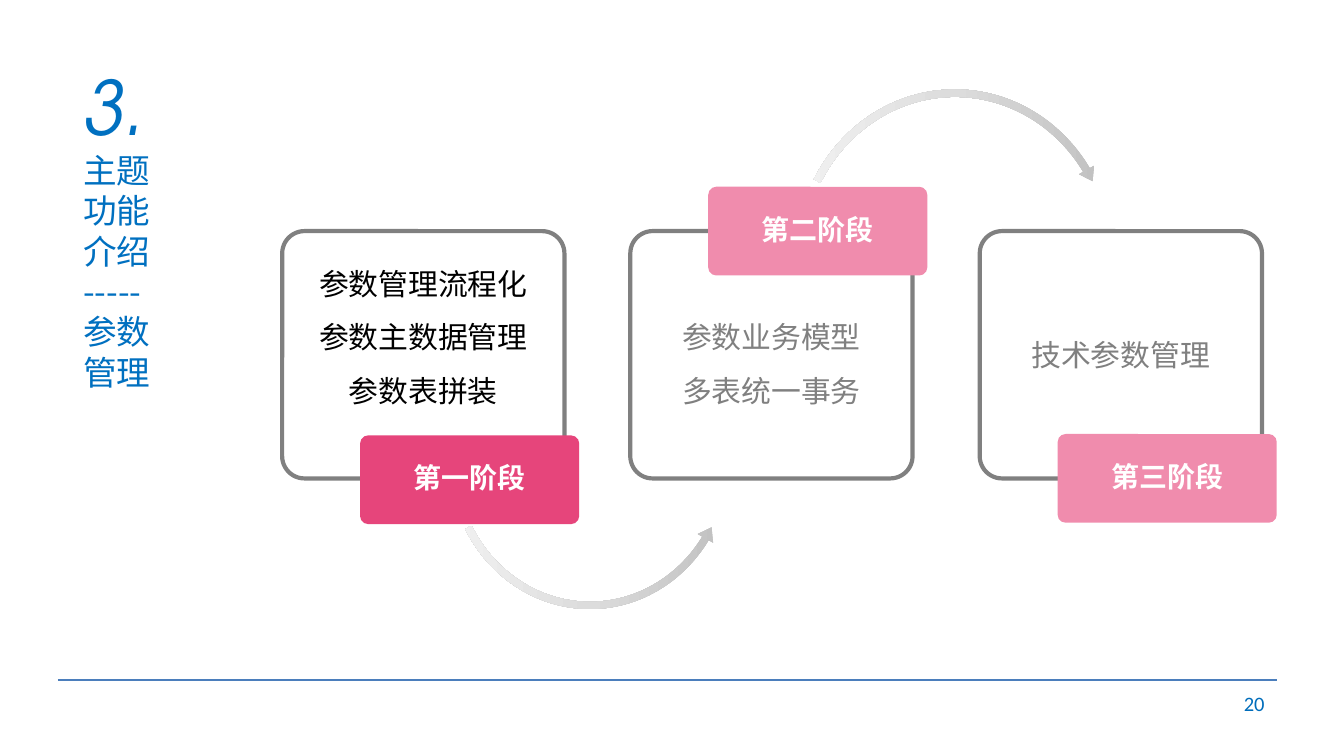
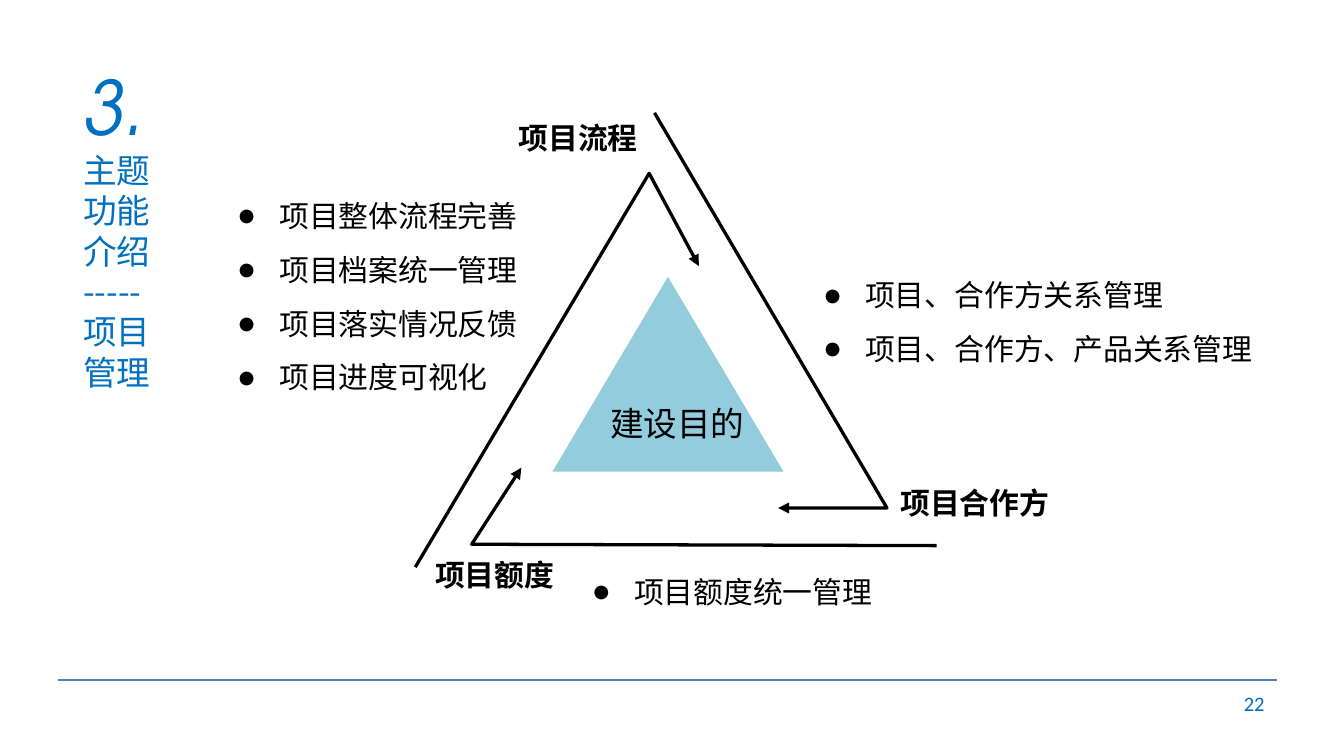
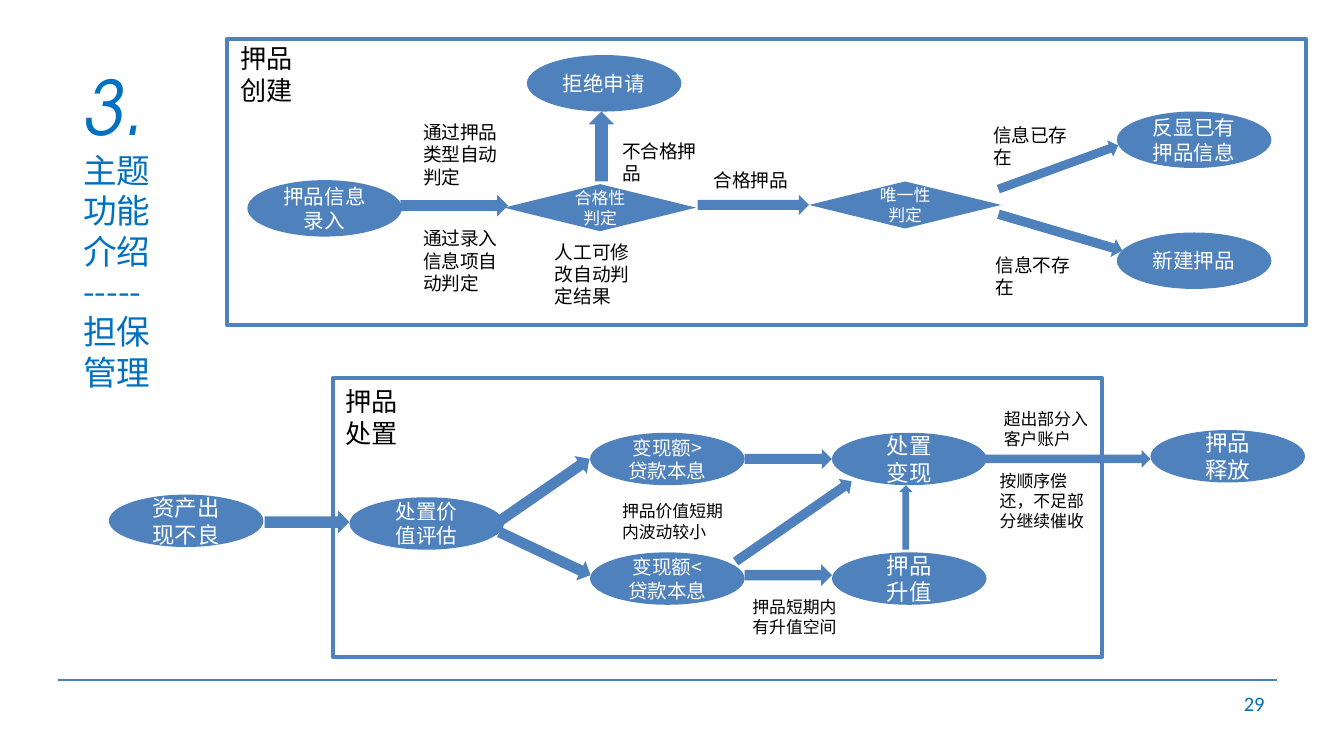
"""Build three slides on parameter, project and collateral management."""
from copy import deepcopy
from dataclasses import dataclass

from lxml.etree import SubElement
from pptx import Presentation
from pptx.dml.color import RGBColor
from pptx.enum.shapes import MSO_CONNECTOR, MSO_SHAPE
from pptx.enum.text import MSO_ANCHOR, PP_ALIGN
from pptx.oxml.ns import qn
from pptx.util import Pt

SCALE = 9144
WIDE = 1000 * SCALE


@dataclass(frozen=True)
class Theme:
    sans: str = "Noto Sans CJK SC"
    head: str = "TeX Gyre Adventor"
    foot: str = "Calibri"
    title: str = "0070C0"
    page: str = "006DBB"
    rule: str = "4B7EBC"
    ink: str = "000000"
    paper: str = "FFFFFF"
    gray: str = "808080"
    hot: str = "E6457B"
    pale: str = "F08CAD"
    teal: str = "93CDDD"
    flow: str = "4F81BD"
    fade: tuple = ("BEBEBE", "DCDCDC", "F3F3F3")
    huge: int = 40
    large: int = 18
    body: int = 16
    badge: int = 15
    label: int = 14
    step: int = 12
    node: int = 11
    test: float = 10.5
    note: int = 10
    small: int = 9
    lead: float = 1.0
    loose: float = 1.5
    tight: float = 0.9


T = Theme()
TOPIC = ["3.", "主题", "功能", "介绍", "-----"]

STAGES = [
    (["参数管理流程化", "参数主数据管理", "参数表拼装"], T.ink, T.loose, 40, "第一阶段", T.hot, 324),
    (["参数业务模型", "多表统一事务"], T.gray, T.loose, 0, "第二阶段", T.pale, 139),
    (["技术参数管理"], T.gray, T.lead, 0, "第三阶段", T.pale, 323),
]
ARCS = [
    (MSO_SHAPE.LEFT_CIRCULAR_ARROW, (330, 225, 218, 232), (0.025, 3.094, 20.849, 90.245, 0.03)),
    (MSO_SHAPE.CIRCULAR_ARROW, (588, 63, 245, 260), (0.023, 2.738, 195.507, 125.755, 0.026)),
]

PATHS = [
    [(309, 422), (483, 129), (520, 198)],
    [(697, 406), (351, 405), (388, 348)],
    [(487, 84), (660, 378), (579, 378)],
]
HEADS = [
    ("项目流程", (376, 84, 110, 37)),
    ("项目合作方", (660, 356, 132, 37)),
    ("项目额度", (314, 409, 110, 37)),
]
LISTS = [
    (["项目整体流程完善", "项目档案统一管理", "项目落实情况反馈", "项目进度可视化"],
     (167, 129, 231, 172), T.loose),
    (["项目、合作方关系管理", "项目、合作方、产品关系管理"], (603, 188, 343, 91), T.loose),
    (["项目额度统一管理"], (431, 422, 231, 37), T.lead),
]

FRAMES = [
    ((169, 29, 803, 213), ["押品", "创建"], (169, 27, 67, 57)),
    ((248, 281, 572, 208), ["押品", "处置"], (247, 282, 67, 57)),
]
OVAL, GEM = MSO_SHAPE.OVAL, MSO_SHAPE.DIAMOND
NODES = [
    (OVAL, 115, 42, [
        (["押品信息录入"], T.node, 184, 134),
        (["拒绝申请"], T.node, 392, 41),
        (["反显已有押品信息"], T.node, 831, 83),
        (["新建押品"], T.node, 831, 173),
    ]),
    (GEM, 143, 35, [
        (["合格性", "判定"], T.small, 375, 137),
        (["唯一性", "判定"], T.small, 602, 135),
    ]),
    (OVAL, 115, 39, [
        (["资产出现不良"], T.step, 81, 368),
        (["处置价", "值评估"], T.node, 260, 370),
        (["变现额>贷款本息"], T.test, 439, 322),
        (["变现额<贷款本息"], T.test, 439, 411),
        (["处置", "变现"], T.step, 619, 322),
        (["押品", "升值"], T.step, 619, 411),
        (["押品", "释放"], T.step, 856, 320),
    ]),
]
ARROWS = [
    ((298, 145, 80, 16), 0), ((519, 145, 83, 15), 0),
    ((740, 118, 95, 13), 340), ((741, 166, 96, 14), 16.4),
    ((197, 380, 63, 17), 0), ((363, 357, 83, 16), 325.3),
    ((368, 404, 75, 16), 25.3), ((554, 334, 65, 15), 0),
    ((538, 381, 105, 14), 325.3), ((554, 420, 65, 16), 0),
    ((731, 335, 125, 13), 0), ((650, 380, 48, 10), 270),
]
RISE = (438, 83, 19, 52)
NOTES = [
    ("通过押品类型自动判定", T.note, (305, 85, 88, 39)),
    ("通过录入信息项自动判定", T.note, (305, 164, 88, 54)),
    ("人工可修改自动判定结果", T.note, (403, 174, 88, 54)),
    ("合格押品", T.note, (521, 121, 88, 24)),
    ("不合格押品", T.note, (453, 99, 88, 24)),
    ("信息已存在", T.note, (729, 87, 88, 26)),
    ("信息不存在", T.note, (731, 184, 88, 26)),
    ("超出部分入客户账户", T.small, (737, 299, 88, 40)),
    ("按顺序偿还，不足部分继续催收", T.small, (734, 345, 88, 56)),
    ("押品短期内有升值空间", T.small, (550, 439, 88, 40)),
    ("押品价值短期内波动较小", T.small, (453, 368, 99, 40)),
]


def emu(*box):
    return [n * SCALE for n in box]


def rgb(code):
    return RGBColor.from_string(code)


def style(runs, size, color, font=T.sans, bold=False, slant=False):
    for run in runs:
        run.font.size, run.font.name = Pt(size), font
        run.font.bold, run.font.italic = bold, slant
        run.font.color.rgb = rgb(color)
        SubElement(run.font._element, qn("a:ea"), typeface=font)


def write(frame, lines, size, color=T.ink, align=PP_ALIGN.LEFT, lead=T.lead,
          bold=False, font=T.sans, dot=False):
    frame.text = "\n".join(lines)
    for para in frame.paragraphs:
        props = para._p.get_or_add_pPr()
        props.set("hangingPunct", "0")
        if dot:
            props.set("marL", str(31 * SCALE))
            props.set("indent", str(-31 * SCALE))
            SubElement(props, qn("a:buFont"), typeface=T.foot)
            SubElement(props, qn("a:buChar"), char="●")
        para.alignment, para.line_spacing = align, lead
        style(para.runs, size, color, font, bold)


def pad(frame, left, top, right, low):
    frame.margin_left, frame.margin_top, frame.margin_right, frame.margin_bottom = emu(
        left, top, right, low)


def label(slide, lines, box, size, wrap=True, **look):
    frame = slide.shapes.add_textbox(*emu(*box)).text_frame
    frame.word_wrap = wrap
    write(frame, lines, size, **look)
    return frame


def paint(shape, fill=None, line=None, width=1):
    shape.shadow.inherit = False
    if fill:
        shape.fill.solid()
        shape.fill.fore_color.rgb = rgb(fill)
    else:
        shape.fill.background()
    if line:
        shape.line.color.rgb = rgb(line)
        shape.line.width = Pt(width)
    else:
        shape.line.fill.background()
    return shape


def draw(slide, kind, box, fill=None, line=None, width=1):
    return paint(slide.shapes.add_shape(kind, *emu(*box)), fill, line, width)


def start(deck, topic, page):
    slide = deck.slides.add_slide(deck.slide_layouts[5])
    rule = slide.shapes.add_connector(MSO_CONNECTOR.STRAIGHT, *emu(43, 506, 950, 506))
    rule.line.color.rgb, rule.line.width = rgb(T.rule), Pt(0.75)
    SubElement(rule._element.spPr, qn("a:effectLst"))
    title = slide.shapes.title
    title.left, title.top, title.width, title.height = emu(52, 40, 99, 220)
    frame = title.text_frame
    frame.vertical_anchor, frame.word_wrap = MSO_ANCHOR.TOP, True
    para = frame.paragraphs[0]
    para.text = "\v".join(TOPIC + topic)
    para.alignment = PP_ALIGN.LEFT
    style(para.runs[:1], T.huge, T.title, T.head, slant=True)
    style(para.runs[1:], T.large, T.title)
    foot = label(slide, [page], (717, 508, 233, 30), T.node, color=T.page,
                 align=PP_ALIGN.RIGHT, font=T.foot)
    foot.vertical_anchor = MSO_ANCHOR.MIDDLE
    pad(foot, 9, 4, 9, 4)
    return slide


def panel(slide, box, lines, size, color, lead, low=0, bold=False, **look):
    shape = draw(slide, MSO_SHAPE.ROUNDED_RECTANGLE, box, **look)
    shape.adjustments[0] = 0.09
    frame = shape.text_frame
    frame.vertical_anchor = MSO_ANCHOR.MIDDLE
    pad(frame, 0, 0, 0, low)
    write(frame, lines, size, color, PP_ALIGN.CENTER, lead, bold)


def stages(deck):
    slide = start(deck, ["参数", "管理"], "20")
    for kind, box, bends in ARCS:
        arc = draw(slide, kind, box)
        for i, bend in enumerate(bends):
            arc.adjustments[i] = bend
        arc.fill.gradient()
        arc.fill.gradient_angle = 180
        stops = arc._element.spPr.find(".//" + qn("a:gsLst"))
        stops.insert(1, deepcopy(stops[0]))
        stops[1].set("pos", "50000")
        for stop, code in zip(arc.fill.gradient_stops, T.fade):
            stop.color.rgb = rgb(code)
    for i, (lines, ink, lead, low, name, fill, top) in enumerate(STAGES):
        left = 210 + i * 519 // 2
        panel(slide, (left, 172, 210, 184), lines, T.body, ink, lead, low,
              line=T.gray, width=2.25)
        panel(slide, (left + 58, top, 163, 66), [name], T.badge, T.paper, T.tight,
              bold=True, fill=fill)


def goals(deck):
    slide = start(deck, ["项目", "管理"], "22")
    core = draw(slide, MSO_SHAPE.ISOSCELES_TRIANGLE, (411, 206, 172, 145), T.teal)
    frame = core.text_frame
    frame.vertical_anchor, frame.word_wrap = MSO_ANCHOR.MIDDLE, False
    pad(frame, 0, 0, 0, 0)
    write(frame, ["建设目的"], T.large)
    for first, *rest in PATHS:
        pen = slide.shapes.build_freeform(*first, scale=SCALE)
        pen.add_line_segments(rest, close=False)
        path = paint(pen.convert_to_shape(), line=T.ink, width=1.75)
        SubElement(path._element.spPr.find(qn("a:ln")), qn("a:tailEnd"), type="triangle")
    for name, box in HEADS:
        label(slide, [name], box, T.body, wrap=False, bold=True)
    for lines, box, lead in LISTS:
        label(slide, lines, box, T.body, wrap=False, lead=lead, dot=True)


def flows(deck):
    slide = start(deck, ["担保", "管理"], "29")
    for box, name, spot in FRAMES:
        draw(slide, MSO_SHAPE.RECTANGLE, box, T.paper, T.flow, 2)
        label(slide, name, spot, T.label)
    for kind, wide, high, group in NODES:
        for lines, size, left, top in group:
            frame = draw(slide, kind, (left, top, wide, high), T.flow).text_frame
            frame.vertical_anchor, frame.word_wrap = MSO_ANCHOR.MIDDLE, True
            write(frame, lines, size, T.paper, PP_ALIGN.CENTER)
    for box, turn in ARROWS:
        draw(slide, MSO_SHAPE.RIGHT_ARROW, box, T.flow).rotation = turn
    draw(slide, MSO_SHAPE.UP_ARROW, RISE, T.flow)
    for text, size, box in NOTES:
        label(slide, [text], box, size)


def main():
    deck = Presentation()
    deck.slide_width, deck.slide_height = WIDE, WIDE * 9 // 16
    for build in (stages, goals, flows):
        build(deck)
    deck.save("out.pptx")


if __name__ == "__main__":
    main()
